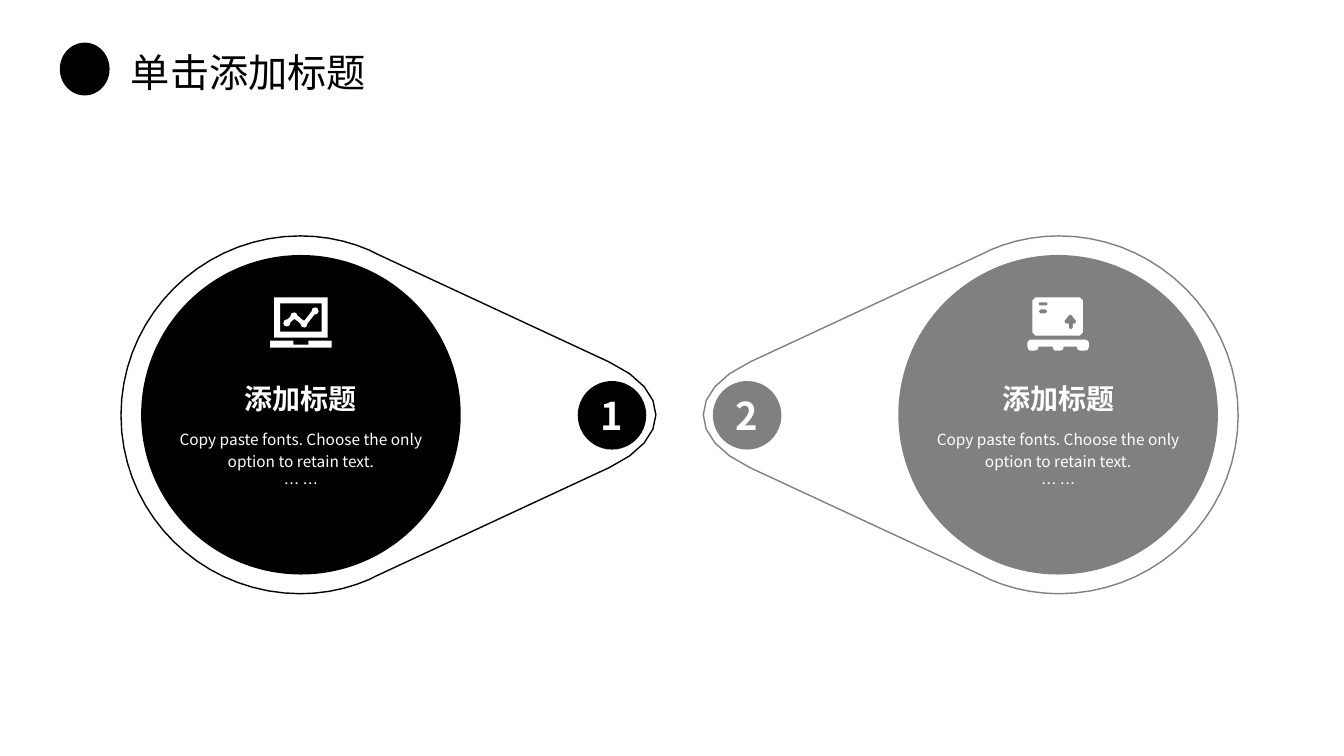
"""Build a slide with two mirrored drop panels under a title."""
import math
import pptx
import pptx.util
import pptx.dml.color
import pptx.enum.shapes
import pptx.enum.text
import pptx.oxml.ns
import lxml.etree

Inches = pptx.util.Inches
FONT = "Noto Sans CJK SC"
HUES = {"ink": "000000", "gray": "808080", "white": "FFFFFF"}
BODY = ["Copy paste fonts. Choose the only option to retain text.", "… …"]

DROP = [[(1.78, 0), (2.02, 0, 2.25, .05, 2.46, .14), (2.54, .18), (4.84, 1.25),
         (5.46, 1.54, 5.46, 2.01, 4.84, 2.3), (2.54, 3.37), (2.46, 3.41),
         (2.25, 3.5, 2.02, 3.55, 1.78, 3.55), (.8, 3.55, 0, 2.76, 0, 1.78),
         (0, .8, .8, 0, 1.78, 0)]]
TREND = [(.45, .1), (.47, .11), (.48, .14), (.47, .16), (.45, .17), (.44, .17),
         (.37, .26), (.36, .29), (.34, .3), (.31, .29), (.3, .26), (.25, .22),
         (.23, .22), (.2, .25), (.19, .28), (.16, .29), (.14, .28), (.13, .26),
         (.14, .23), (.16, .22), (.17, .22), (.2, .19), (.21, .16), (.24, .15),
         (.26, .16), (.27, .18), (.33, .23), (.34, .23), (.41, .14), (.42, .11)]
BASE = [(0, .43), (.23, .43), (.23, .47), (.38, .47), (.38, .43), (.61, .43),
        (.61, .5), (0, .5)]
ARROW = [(.43, .17), (.41, .18), (.37, .23), (.37, .25), (.39, .26), (.41, .26),
         (.41, .3), (.43, .32), (.45, .3), (.45, .26), (.47, .26), (.48, .25),
         (.48, .23), (.44, .18)]
PALLET = [(.03, .42), (.57, .42), (.6, .43), (.61, .45), (.61, .49), (.6, .52),
          (.57, .53), (.53, .53), (.5, .52), (.49, .49), (.36, .49), (.35, .52),
          (.32, .53), (.28, .53), (.26, .52), (.25, .49), (.11, .49), (.1, .52),
          (.07, .53), (.03, .53), (.01, .52), (0, .49), (0, .45), (.01, .43)]


def block(x, y, w, h, r=0):
    """Return the loop of a rectangle with corners cut by r."""
    e, b = x + w, y + h
    if not r:
        return [(x, y), (e, y), (e, b), (x, b)]
    return [(x + r, y), (e - r, y), (e, y + r), (e, b - r),
            (e - r, b), (x + r, b), (x, b - r), (x, y + r)]


LAPTOP = [BASE, TREND, block(.1, .06, .41, .28), block(.04, 0, .53, .4)]
CRATE = [PALLET, ARROW, block(.11, .05, .09, .03, .01),
         block(.11, .12, .09, .04, .02), block(.05, 0, .5, .38, .03)]


def color(name):
    """Return the named colour."""
    return pptx.dml.color.RGBColor.from_string(HUES[name])


def paint(shape, fill=None, line=None):
    """Set the fill and outline of a shape."""
    shape.shadow.inherit = False
    for part, hue in ((shape.fill, fill), (shape.line.fill, line)):
        if hue:
            part.solid()
            part.fore_color.rgb = color(hue)
        else:
            part.background()
    if line:
        shape.line.width = pptx.util.Pt(1)


def bend(start, curve):
    """Return points along a cubic curve, more for a longer one."""
    x0, y0 = start
    x1, y1, x2, y2, x3, y3 = curve
    steps = math.ceil(7 * math.dist(start, (x3, y3)))
    points = []
    for step in range(1, steps + 1):
        t = step / steps
        a, b, c, d = (1 - t) ** 3, 3 * t * (1 - t) ** 2, 3 * t * t * (1 - t), t ** 3
        points.append((a * x0 + b * x1 + c * x2 + d * x3,
                       a * y0 + b * y1 + c * y2 + d * y3))
    return points


def trace(slide, loops, x, y, flip=0, **style):
    """Draw closed loops as one outline, mirrored in a width if flip is set."""
    def place(point):
        """Turn a local point into a slide point."""
        across = flip - point[0] if flip else point[0]
        return Inches(x + across), Inches(y + point[1])

    pen = slide.shapes.build_freeform(*place(loops[0][0]), scale=1.0)
    for turn, loop in enumerate(loops):
        points = loop[:1]
        for part in loop[1:]:
            points = points + (bend(points[-1], part) if len(part) == 6 else [part])
        if turn:
            pen.move_to(*place(points[0]))
        pen.add_line_segments([place(p) for p in points[1:]], close=True)
    paint(pen.convert_to_shape(), **style)


def disc(slide, x, y, w, h, **style):
    """Draw an ellipse."""
    kind = pptx.enum.shapes.MSO_SHAPE.OVAL
    shape = slide.shapes.add_shape(kind, Inches(x), Inches(y), Inches(w), Inches(h))
    paint(shape, **style)
    return shape


def write(shape, lines, size=11, hue="white", bold=False, align="CENTER",
          anchor="TOP", space=None, wrap=True):
    """Put formatted lines of text into a shape."""
    frame = shape.text_frame
    frame.word_wrap = wrap
    frame.vertical_anchor = pptx.enum.text.MSO_ANCHOR[anchor]
    for turn, line in enumerate(lines):
        para = frame.add_paragraph() if turn else frame.paragraphs[0]
        para.alignment = pptx.enum.text.PP_ALIGN[align]
        if space:
            para.line_spacing = space
        run = para.add_run()
        run.text = line
        font = run.font
        font.name, font.size, font.bold = FONT, pptx.util.Pt(size), bold
        font.color.rgb = color(hue)
        east = lxml.etree.SubElement(run._r.get_or_add_rPr(), pptx.oxml.ns.qn("a:ea"))
        east.set("typeface", FONT)


def label(slide, x, y, w, h, lines, **style):
    """Add a text box."""
    box = slide.shapes.add_textbox(Inches(x), Inches(y), Inches(w), Inches(h))
    write(box, lines, **style)


def panel(slide, x, y, w, hue, digit, icon, flip=False):
    """Draw a drop with its disc, badge, icon and text."""
    def left(inset, width):
        """Return the left edge of a part, mirrored if needed."""
        return x + (w - inset - width if flip else inset)

    trace(slide, DROP, x, y, flip=w if flip else 0, line=hue)
    disc(slide, left(.2, 3.17), y + .19, 3.17, 3.17, fill=hue)
    badge = disc(slide, left(4.53, .68), y + 1.44, .68, .68, fill=hue)
    write(badge, [digit], size=27.2, bold=True, anchor="MIDDLE", wrap=False)
    trace(slide, icon, left(1.48, .61), y + .61, fill="white")
    edge = left(.46, 2.65)
    label(slide, edge, y + 1.84, 2.65, .79, BODY, space=1.2)
    label(slide, edge, y + 1.38, 2.65, .46, ["添加标题"], size=20, bold=True,
          anchor="MIDDLE")


def header(slide, x, y):
    """Draw the title with its dot."""
    disc(slide, x, y, .48, .51, fill="ink", line="ink")
    label(slide, x + .6, y, 3.24, .57, ["单击添加标题"], size=28, hue="ink",
          align="LEFT")


def main():
    """Build and save the deck."""
    deck = pptx.Presentation()
    deck.slide_width, deck.slide_height = Inches(13.33), Inches(7.5)
    slide = deck.slides.add_slide(deck.slide_layouts[6])
    panel(slide, 1.2, 2.34, 5.3, "ink", "1", LAPTOP)
    panel(slide, 6.98, 2.34, 5.3, "gray", "2", CRATE, flip=True)
    header(slide, .6, .43)
    deck.save("out.pptx")


if __name__ == "__main__":
    main()
